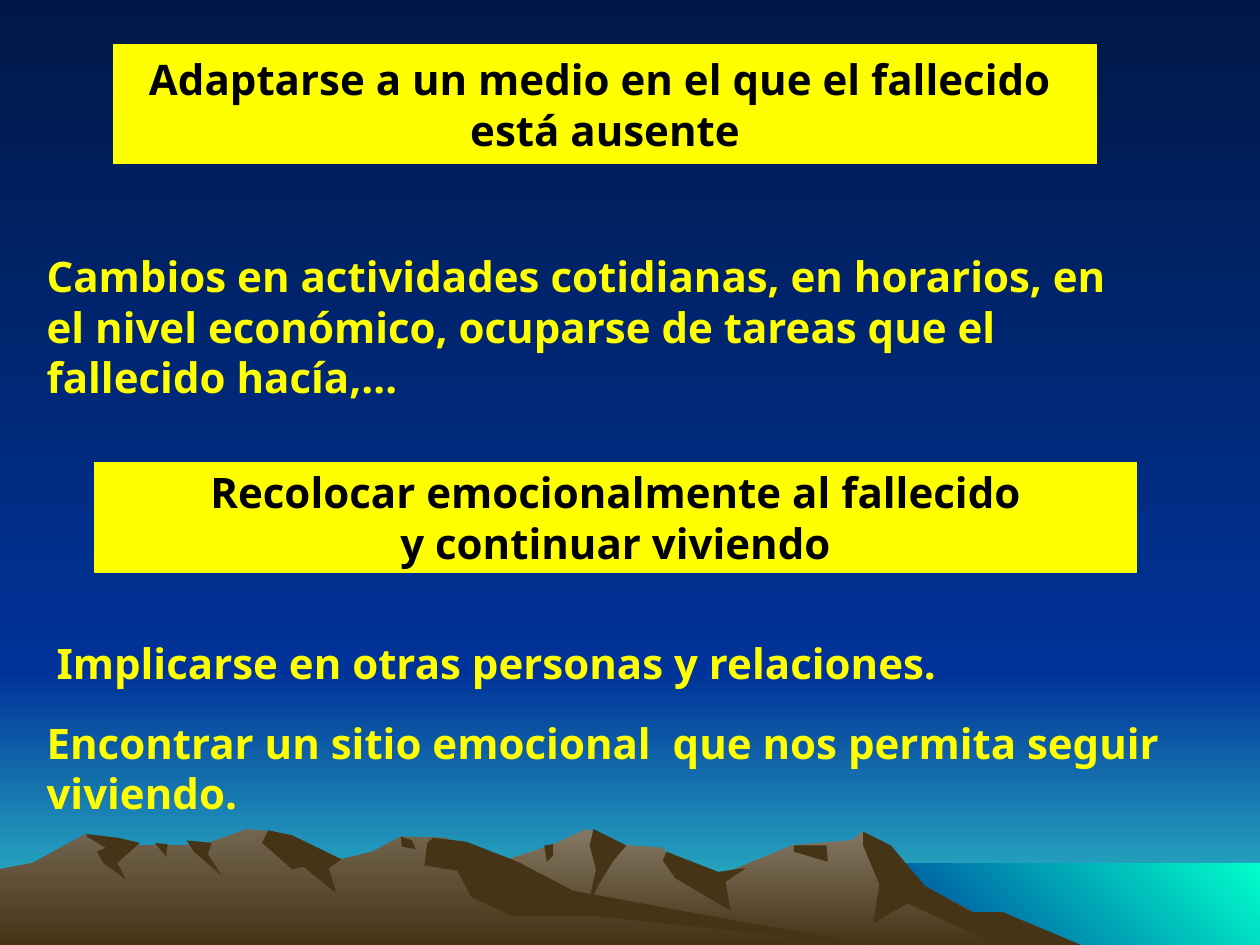
"""Builds a slide on two tasks of mourning over a mountain landscape."""
from pptx import Presentation, util as u
from pptx.dml.color import RGBColor
from pptx.enum import shapes, text

COLORS = {"night": "001847", "blue": "003399", "teal": "33CCCC", "aqua": "00FFCC",
          "stone": "847864", "clay": "73654F", "earth": "463416",
          "yellow": "FFFF00", "black": "000000"}
FONT = "Noto Sans"
DOWN, UP_RIGHT = 270, 45
WIDTH, HEIGHT, HORIZON = 1000, 750, 533

HEADINGS = [
    (["Adaptarse a un medio en el que el fallecido ", "está ausente"], (2.29, 0.91, 19.81, 2.39)),
    (["Recolocar emocionalmente al fallecido", "y continuar viviendo"], (1.9, 9.32, 21.01, 2.21)),
]
DETAILS = [
    ("Cambios en actividades cotidianas, en horarios, en el nivel económico, "
     "ocuparse de tareas que el fallecido hacía,…", (0.69, 4.93, 22.61, 3.3)),
    ("Implicarse en otras personas y relaciones.", (0.89, 12.73, 23.01, 1.27)),
    ("Encontrar un sitio emocional  que nos permita seguir viviendo.", (0.69, 14.33, 23.22, 2.29)),
]


def panel(left, top, right, bottom):
    return [(right, bottom), (left, bottom), (left, top), (right, top)]


BACKDROP = [
    (("blue", "teal", DOWN), panel(0, HORIZON, WIDTH, HEIGHT)),
    (("night", "blue", DOWN), panel(0, 0, WIDTH, HORIZON)),
    (("blue", "aqua", UP_RIGHT), panel(683, 685, WIDTH, HEIGHT)),
]
RIGHT_RIDGE = [(258, HEIGHT), (327, 709), (394, 685), (438, 671), (465, 658), (474, 661),
               (497, 671), (526, 673), (536, 690), (566, 697), (629, 671), (676, 667),
               (685, 660), (723, 698), (821, HEIGHT)]
LEFT_RIDGE = [(0, HEIGHT), (0, 690), (26, 685), (68, 662), (94, 671), (160, 671), (196, 658),
              (219, 660), (271, 682), (296, 676), (318, 664), (354, 665), (432, 712),
              (690, HEIGHT)]
RIGHT_SHADOWS = [
    [(685, 660), (707, 671), (734, 703), (771, 724), (796, 724), (858, HEIGHT), (792, HEIGHT),
     (720, 717), (693, 733), (698, 702), (685, 671)],
    [(471, 658), (497, 671), (487, 683), (474, 704), (465, 727), (473, 690), (468, 671)],
    [(529, 676), (570, 692), (592, 689), (576, 700), (580, 723), (536, 697), (526, 683)],
    [(630, 671), (656, 671), (657, 684), (630, 676)],
    [(432, 671), (439, 670), (439, 679), (434, 684)],
]
LEFT_SHADOWS = [
    [(213, 659), (232, 663), (271, 682), (261, 689), (267, 709), (241, 688), (232, 690), (208, 669)],
    [(339, 669), (344, 665), (370, 668), (411, 684), (455, 707), (690, HEIGHT), (472, 727),
     (407, 727), (374, 712), (363, 691), (337, 687)],
    [(318, 664), (327, 667), (330, 674), (319, 672)],
    [(148, 667), (168, 669), (165, 678), (176, 695), (154, 676)],
    [(123, 669), (133, 670), (132, 680)],
    [(69, 662), (94, 665), (111, 669), (93, 685), (100, 698), (82, 685), (77, 676), (84, 673), (69, 664)],
]
LANDSCAPE = [
    *BACKDROP,
    (("stone", "earth", DOWN), RIGHT_RIDGE),
    *((("earth",), shadow) for shadow in RIGHT_SHADOWS),
    (("clay", "earth", DOWN), LEFT_RIDGE),
    *((("earth",), shadow) for shadow in LEFT_SHADOWS),
]


def rgb(name):
    return RGBColor.from_string(COLORS[name])


def paint(fill, first, last=None, angle=DOWN):
    if last is None:
        fill.solid()
        fill.fore_color.rgb = rgb(first)
        return
    fill.gradient()
    fill.gradient_angle = angle
    for stop, position, color in zip(fill.gradient_stops, (0, 1), (first, last)):
        stop.position = position
        stop.color.rgb = rgb(color)


def draw_outline(slide, paints, points):
    builder = slide.shapes.build_freeform(*points[0], scale=u.Cm(0.0254))
    builder.add_line_segments(points[1:], close=True)
    outline = builder.convert_to_shape()
    outline.shadow.inherit = False
    outline.line.fill.background()
    paint(outline.fill, *paints)


def write(frame, lines, *, color, align, anchor, wrap, before=0):
    frame.word_wrap = wrap
    frame.vertical_anchor = anchor
    for index, line in enumerate(lines):
        paragraph = frame.add_paragraph() if index else frame.paragraphs[0]
        paragraph.alignment = align
        paragraph.space_before = u.Pt(before)
        paragraph.line_spacing = u.Pt(28.8)
        run = paragraph.add_run()
        run.text = line
        run.font.name = FONT
        run.font.size = u.Pt(24)
        run.font.bold = True
        run.font.color.rgb = rgb(color)


def main():
    deck = Presentation()
    deck.slide_width, deck.slide_height = u.Cm(25.4), u.Cm(19.05)
    slide = deck.slides.add_slide(deck.slide_layouts[6])
    paint(slide.background.fill, "night", "blue")

    for paints, points in LANDSCAPE:
        draw_outline(slide, paints, points)

    for lines, place in HEADINGS:
        heading = slide.shapes.add_shape(shapes.MSO_SHAPE.RECTANGLE, *map(u.Cm, place))
        heading.shadow.inherit = False
        paint(heading.fill, "yellow")
        heading.line.color.rgb = rgb("yellow")
        heading.line.width = u.Pt(0.75)
        write(heading.text_frame, lines, color="black", align=text.PP_ALIGN.CENTER,
              anchor=text.MSO_ANCHOR.MIDDLE, wrap=False)

    for sentence, place in DETAILS:
        detail = slide.shapes.add_textbox(*map(u.Cm, place))
        write(detail.text_frame, [sentence], color="yellow", align=text.PP_ALIGN.LEFT,
              anchor=text.MSO_ANCHOR.TOP, wrap=True, before=15)

    deck.save("out.pptx")


if __name__ == "__main__":
    main()
